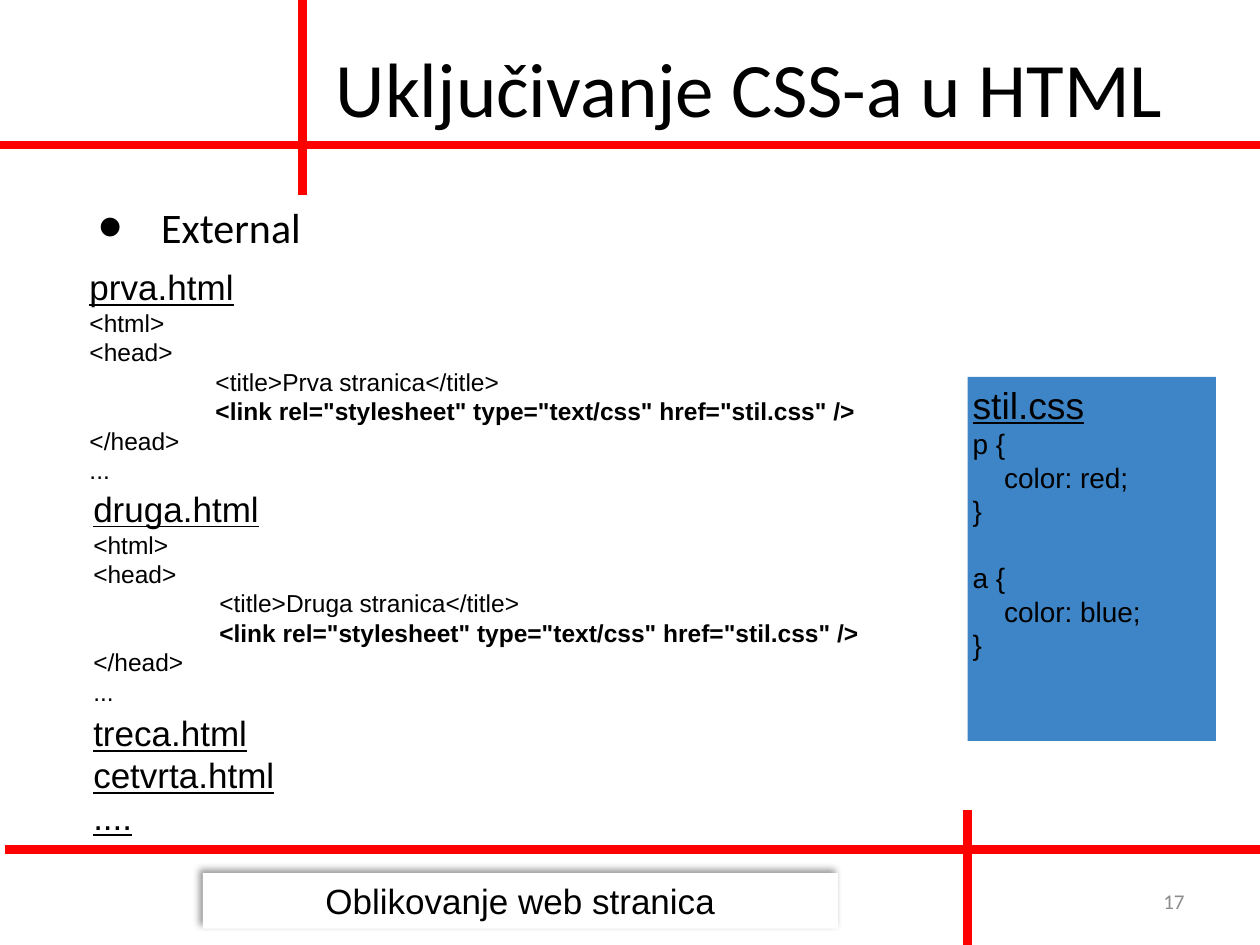
from dataclasses import dataclass

from pptx import Presentation
from pptx.dml.color import RGBColor
from pptx.enum.shapes import MSO_CONNECTOR as Connector, MSO_SHAPE as Preset
from pptx.enum.text import MSO_ANCHOR as Anchor, PP_ALIGN as Align
from pptx.oxml import parse_xml
from pptx.oxml.ns import nsdecls
from pptx.util import Inches, Pt

WIDTH, HEIGHT = 10, 7.5


@dataclass(frozen=True)
class Theme:
    """Colours, fonts and type sizes of the slide."""
    ink: str = "000000"
    paper: str = "FFFFFF"
    rule: str = "FF0000"
    panel: str = "3D85C6"
    muted: str = "8C8C8C"
    heading_font: str = "Calibri"
    body_font: str = "Arial"
    title: float = 44
    bullet: float = 24
    file_name: float = 20
    panel_name: float = 21.3
    panel_code: float = 16
    code: float = 14
    number: float = 12
    rule_width: float = 5


THEME = Theme()


def write(paragraph, text, size, font=THEME.body_font, color=THEME.ink,
          bold=False, underline=False):
    """Add one formatted run to a paragraph."""
    run = paragraph.add_run()
    run.text = text
    run.font.size, run.font.name = Pt(size), font
    run.font.bold, run.font.underline = bold, underline
    run.font.color.rgb = RGBColor.from_string(color)


def set_frame(shape, inset=None, anchor=Anchor.TOP):
    """Set wrapping, anchor and equal insets; return the text frame."""
    frame = shape.text_frame
    frame.word_wrap = True
    frame.vertical_anchor = anchor
    if inset is not None:
        frame.margin_left = frame.margin_right = Inches(inset)
        frame.margin_top = frame.margin_bottom = Inches(inset)
    return frame


def add_text_box(slide, box, **frame_options):
    """Add a text box and return its text frame."""
    shape = slide.shapes.add_textbox(*map(Inches, box))
    return set_frame(shape, **frame_options)


def add_panel(slide, box, fill):
    """Add a filled rectangle without outline or inherited shadow."""
    shape = slide.shapes.add_shape(Preset.RECTANGLE, *map(Inches, box))
    shape.shadow.inherit = False
    shape.fill.solid()
    shape.fill.fore_color.rgb = RGBColor.from_string(fill)
    shape.line.fill.background()
    return shape


def add_rule(slide, start, end):
    """Add a straight red rule between two points."""
    line = slide.shapes.add_connector(
        Connector.STRAIGHT, *map(Inches, (*start, *end)))
    line.line.color.rgb = RGBColor.from_string(THEME.rule)
    line.line.width = Pt(THEME.rule_width)
    line._element.spPr.append(parse_xml(f"<a:effectLst {nsdecls('a')}/>"))


def set_indent(paragraph, left, first=0):
    """Set left margin and first-line indent in inches."""
    properties = paragraph._p.get_or_add_pPr()
    properties.set("marL", str(Inches(left)))
    properties.set("indent", str(Inches(first)))
    return properties


def fill_listing(frame, names, lines=(), name_size=THEME.file_name,
                 code_size=THEME.code, step=1.0):
    """Write underlined file names, then (text, level, bold, gap) code lines."""
    rows = [(name, 0, False, 0) for name in names] + list(lines)
    for index, (text, level, bold, gap) in enumerate(rows):
        paragraph = frame.add_paragraph() if index else frame.paragraphs[0]
        paragraph.alignment = Align.LEFT
        if level:
            set_indent(paragraph, level * step)
        if gap:
            paragraph.space_before = Pt(gap)
        is_name = index < len(names)
        write(paragraph, text, name_size if is_name else code_size,
              bold=bold, underline=is_name)


def page_lines(title):
    """Return the code lines of an HTML page with the given title."""
    link = '<link rel="stylesheet" type="text/css" href="stil.css" />'
    return [("<html>", 0, False, 0), ("<head>", 0, False, 0),
            (f"<title>{title}</title>", 1, False, 0), (link, 1, True, 0),
            ("</head>", 0, False, 0), ("...", 0, False, 0)]


def rule_lines(selector, color, gap=0):
    """Return the code lines of one CSS rule."""
    return [(selector + " {", 0, False, gap),
            (f"color: {color};", 1, False, 0), ("}", 0, False, 0)]


def add_title(slide, text):
    """Place and format the title placeholder."""
    title = slide.shapes.title
    title.left, title.top, title.width, title.height = map(
        Inches, (2.4, 0.06, 7.1, 1.25))
    paragraph = set_frame(title, anchor=Anchor.MIDDLE).paragraphs[0]
    paragraph.alignment = Align.CENTER
    write(paragraph, text, THEME.title, THEME.heading_font)


def add_bullet(slide, text):
    """Add the bulleted topic line."""
    paragraph = add_text_box(slide, (0.5, 1.55, 9, 0.52)).paragraphs[0]
    properties = set_indent(paragraph, 0.68, -0.5)
    for tag in (f'buClr {nsdecls("a")}><a:srgbClr val="{THEME.ink}"/></a:buClr',
                f'buSzPct {nsdecls("a")} val="165000"/',
                f'buFont {nsdecls("a")} typeface="{THEME.body_font}"/',
                f'buChar {nsdecls("a")} char="•"/'):
        properties.append(parse_xml(f"<a:{tag}>"))
    write(paragraph, text, THEME.bullet, THEME.heading_font)


def add_footer(slide, text, number):
    """Add the shadowed footer label and the page number."""
    label = add_panel(slide, (1.61, 6.93, 5.04, 0.44), THEME.paper)
    properties = label._element.spPr
    effects = properties.find(
        "{http://schemas.openxmlformats.org/drawingml/2006/main}effectLst")
    effects.append(parse_xml(
        f'<a:outerShdw {nsdecls("a")} blurRad="{Pt(4)}" dist="{Pt(3)}" '
        f'dir="{225 * 60000}" algn="ctr" rotWithShape="0">'
        f'<a:srgbClr val="{THEME.ink}"><a:alpha val="40000"/></a:srgbClr>'
        '</a:outerShdw>'))
    paragraph = set_frame(label, anchor=Anchor.MIDDLE).paragraphs[0]
    paragraph.alignment = Align.CENTER
    write(paragraph, text, THEME.file_name)

    frame = add_text_box(slide, (7.17, 6.95, 2.33, 0.4), anchor=Anchor.MIDDLE)
    frame.paragraphs[0].alignment = Align.RIGHT
    write(frame.paragraphs[0], number, THEME.number,
          THEME.heading_font, THEME.muted)


def main():
    """Build and save the slide."""
    presentation = Presentation()
    presentation.slide_width = Inches(WIDTH)
    presentation.slide_height = Inches(HEIGHT)
    slide = presentation.slides.add_slide(presentation.slide_layouts[5])

    add_title(slide, "Uključivanje CSS-a u HTML")
    for start, end in (((0, 1.15), (WIDTH, 1.15)), ((2.4, 0), (2.4, 1.55)),
                       ((0.04, 6.74), (WIDTH, 6.74)),
                       ((7.68, 6.43), (7.68, HEIGHT))):
        add_rule(slide, start, end)
    add_footer(slide, "Oblikovanje web stranica", "17")
    add_bullet(slide, "External")

    listings = (
        ((0.67, 2.07, 6.22, 1.84), ["prva.html"], page_lines("Prva stranica")),
        ((0.7, 3.83, 6.19, 1.78), ["druga.html"], page_lines("Druga stranica")),
        ((0.7, 5.61, 6.19, 1.13), ["treca.html", "cetvrta.html", "...."], []))
    for box, names, lines in listings:
        fill_listing(add_text_box(slide, box, inset=0.04), names, lines)

    style_panel = add_panel(slide, (7.68, 2.99, 1.97, 2.89), THEME.panel)
    style_lines = rule_lines("p", "red") + rule_lines("a", "blue", gap=19)
    fill_listing(set_frame(style_panel, inset=0.04), ["stil.css"], style_lines,
                 THEME.panel_name, THEME.panel_code, step=0.25)
    presentation.save("out.pptx")


main()
